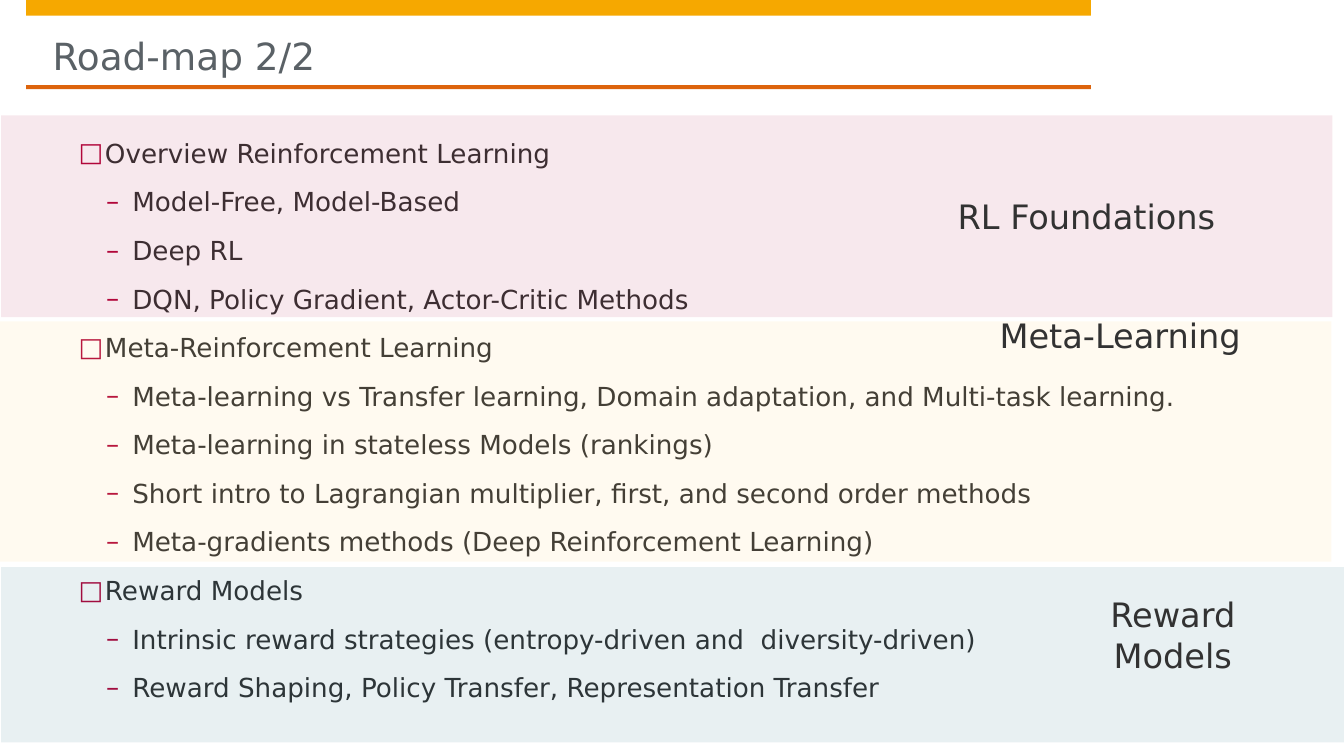
"""Builds the road-map slide: three topic bands over a two-level outline."""
from dataclasses import dataclass

import pptx
import pptx.dml.color
import pptx.enum.shapes
import pptx.enum.text
import pptx.oxml
import pptx.oxml.ns
import pptx.util
from lxml import etree

EMU_PER_PX = 9525
ALIGN = pptx.enum.text.PP_ALIGN
ANCHOR = pptx.enum.text.MSO_ANCHOR


@dataclass(frozen=True)
class Theme:
    font: str = "DejaVu Sans"
    text: str = "323232"
    title: str = "5A6166"
    accent: str = "B1063A"
    gold: str = "F6A800"
    orange: str = "DD640C"
    yellow: str = "FFCD61"
    teal: str = "005B76"
    title_size: float = 26.7
    outline_size: float = 18.7
    label_size: float = 24
    outline_spacing: float = 26.7


@dataclass(frozen=True)
class Box:
    left: int
    top: int
    width: int
    height: int


@dataclass(frozen=True)
class Block:
    box: Box
    color: str
    opacity: int = 100


@dataclass(frozen=True)
class Label:
    text: str
    box: Box
    align: ALIGN = ALIGN.LEFT


@dataclass(frozen=True)
class Level:
    bullet: str
    margin: int


THEME = Theme()
HANGING = 25
TOPIC = Level("□", 50)
DETAIL = Level("–", 76)

HEADER = [
    Block(Box(25, 0, 1014, 15), THEME.gold),
    Block(Box(25, 81, 1014, 4), THEME.orange),
]
BANDS = [
    Block(Box(1, 110, 1268, 192), THEME.accent, 9),
    Block(Box(0, 306, 1268, 229), THEME.yellow, 9),
    Block(Box(1, 540, 1280, 167), THEME.teal, 9),
]
LABELS = [
    Label("RL Foundations", Box(912, 187, 302, 53)),
    Label("Meta-Learning", Box(952, 300, 302, 53)),
    Label("Reward Models", Box(1004, 566, 226, 95), ALIGN.CENTER),
]
OUTLINE = {
    "Overview Reinforcement Learning": [
        "Model-Free, Model-Based",
        "Deep RL",
        "DQN, Policy Gradient, Actor-Critic Methods",
    ],
    "Meta-Reinforcement Learning": [
        "Meta-learning vs Transfer learning, Domain adaptation, and Multi-task learning.",
        "Meta-learning in stateless Models (rankings)",
        "Short intro to Lagrangian multiplier, first, and second order methods",
        "Meta-gradients methods (Deep Reinforcement Learning)",
    ],
    "Reward Models": [
        "Intrinsic reward strategies (entropy-driven and  diversity-driven)",
        "Reward Shaping, Policy Transfer, Representation Transfer",
    ],
}


def px(length: int) -> pptx.util.Emu:
    return pptx.util.Emu(length * EMU_PER_PX)


def place(box: Box) -> list[pptx.util.Emu]:
    return [px(side) for side in (box.left, box.top, box.width, box.height)]


def add_block(slide: pptx.slide.Slide, block: Block) -> None:
    band = slide.shapes.add_shape(pptx.enum.shapes.MSO_SHAPE.RECTANGLE, *place(block.box))
    band.shadow.inherit = False
    band.line.fill.background()
    band.fill.solid()
    band.fill.fore_color.rgb = pptx.dml.color.RGBColor.from_string(block.color)
    if block.opacity < 100:
        color = band.fill._xPr.find(".//" + pptx.oxml.ns.qn("a:srgbClr"))
        alpha = etree.SubElement(color, pptx.oxml.ns.qn("a:alpha"))
        alpha.set("val", str(block.opacity * 1000))


def add_text(slide: pptx.slide.Slide, box: Box, text: str, size: float,
             color: str = THEME.text) -> pptx.text.text.TextFrame:
    frame = slide.shapes.add_textbox(*place(box)).text_frame
    frame.word_wrap = True
    frame.margin_left = frame.margin_top = frame.margin_right = frame.margin_bottom = 0
    frame.text = text
    for paragraph in frame.paragraphs:
        for run in paragraph.runs:
            run.font.name = THEME.font
            run.font.size = pptx.util.Pt(size)
            run.font.color.rgb = pptx.dml.color.RGBColor.from_string(color)
    return frame


def set_bullet(paragraph: pptx.text.text._Paragraph, level: Level) -> None:
    properties = paragraph._p.get_or_add_pPr()
    properties.set("marL", str(px(level.margin)))
    properties.set("indent", str(px(-HANGING)))
    bullet_color = etree.SubElement(properties, pptx.oxml.ns.qn("a:buClr"))
    etree.SubElement(bullet_color, pptx.oxml.ns.qn("a:srgbClr")).set("val", THEME.accent)
    bullet_font = etree.SubElement(properties, pptx.oxml.ns.qn("a:buFont"))
    bullet_font.set("typeface", THEME.font)
    etree.SubElement(properties, pptx.oxml.ns.qn("a:buChar")).set("char", level.bullet)


def add_outline(slide: pptx.slide.Slide, box: Box) -> None:
    entries = [
        (text, level)
        for topic, details in OUTLINE.items()
        for text, level in [(topic, TOPIC), *((detail, DETAIL) for detail in details)]
    ]
    frame = add_text(slide, box, "\n".join(text for text, _ in entries), THEME.outline_size)
    for paragraph, (_, level) in zip(frame.paragraphs, entries):
        paragraph.level = 0 if level is TOPIC else 1
        paragraph.line_spacing = pptx.util.Pt(THEME.outline_spacing)
        paragraph.space_before = paragraph.space_after = pptx.util.Pt(4)
        set_bullet(paragraph, level)


def add_label(slide: pptx.slide.Slide, label: Label) -> None:
    paragraph = add_text(slide, label.box, label.text, THEME.label_size).paragraphs[0]
    paragraph.alignment = label.align
    paragraph.space_before = paragraph.space_after = pptx.util.Pt(3)


def main() -> None:
    deck = pptx.Presentation()
    deck.slide_width, deck.slide_height = px(1280), px(720)
    slide = deck.slides.add_slide(deck.slide_layouts[6])
    for block in HEADER:
        add_block(slide, block)
    add_outline(slide, Box(50, 125, 1205, 551))
    title = add_text(slide, Box(50, 15, 963, 59), "Road-map 2/2", THEME.title_size, THEME.title)
    title.margin_top = px(15)
    title.vertical_anchor = ANCHOR.BOTTOM
    for band in BANDS:
        add_block(slide, band)
    for label in LABELS:
        add_label(slide, label)
    deck.save("out.pptx")


if __name__ == "__main__":
    main()
